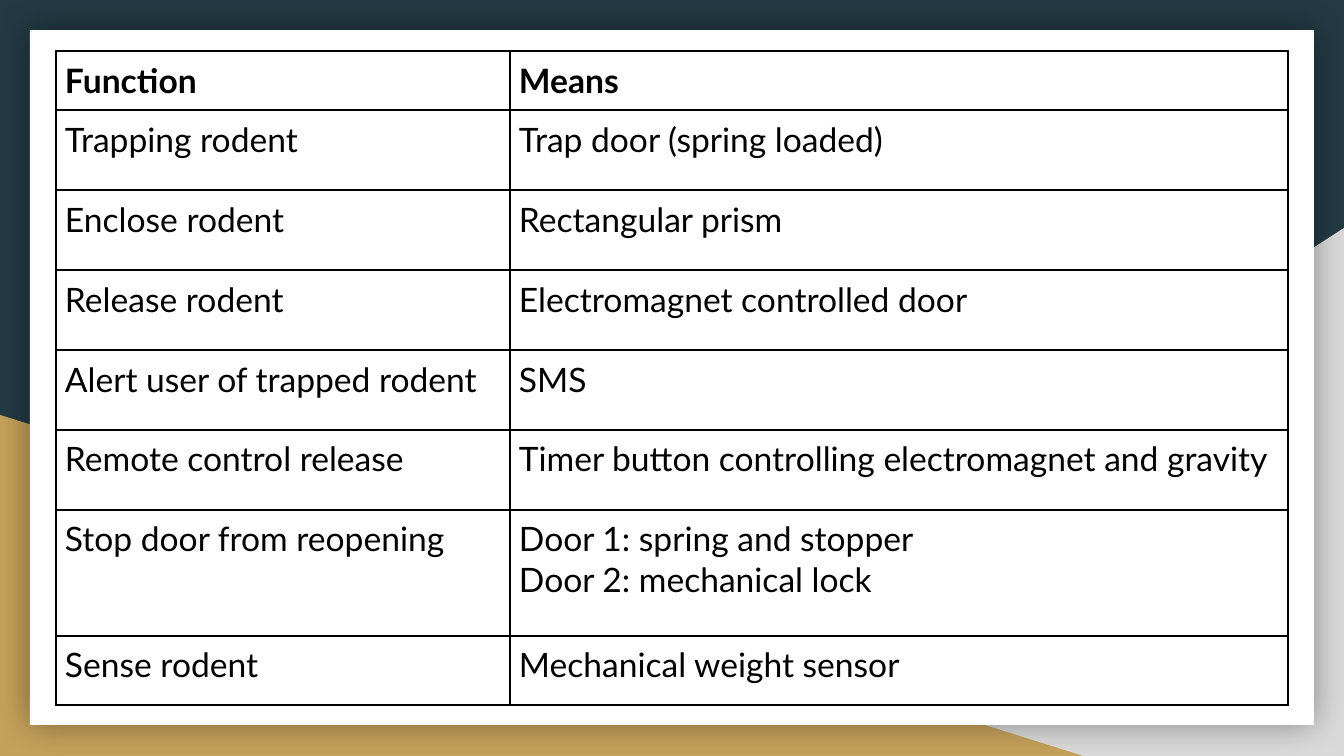
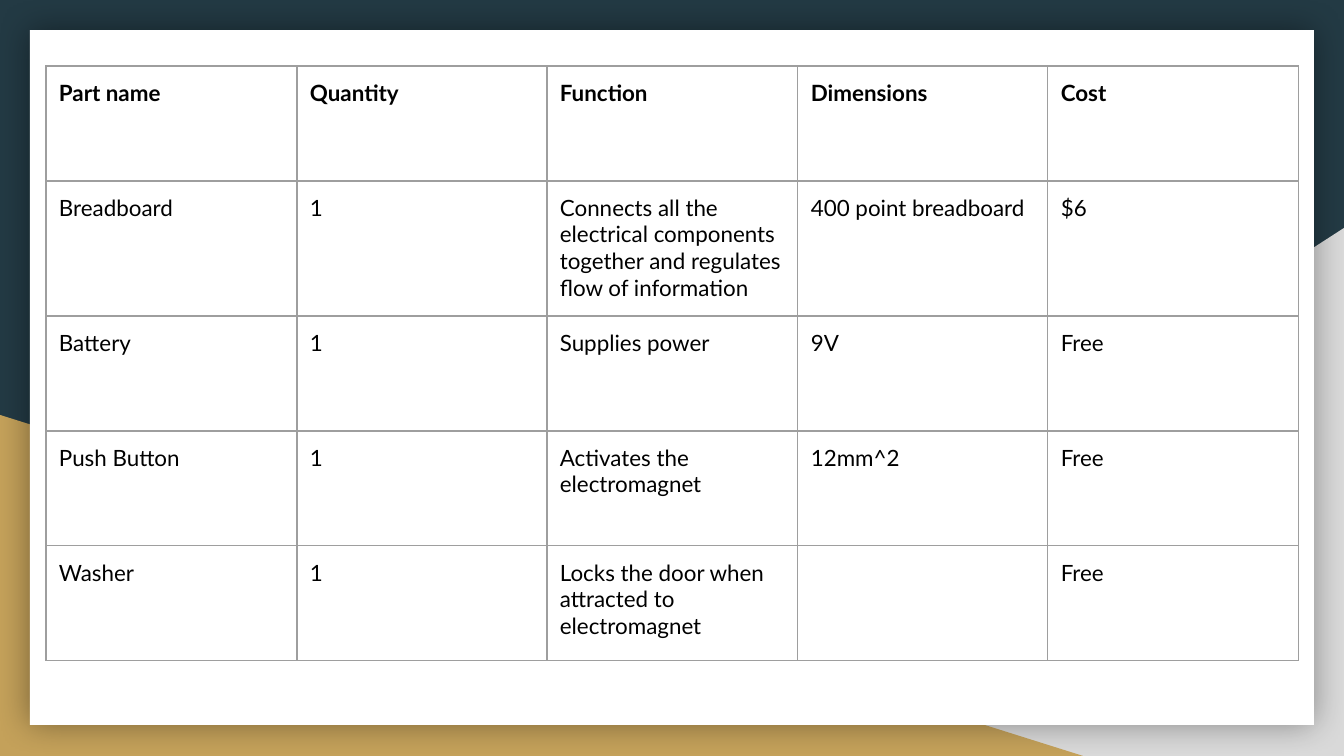
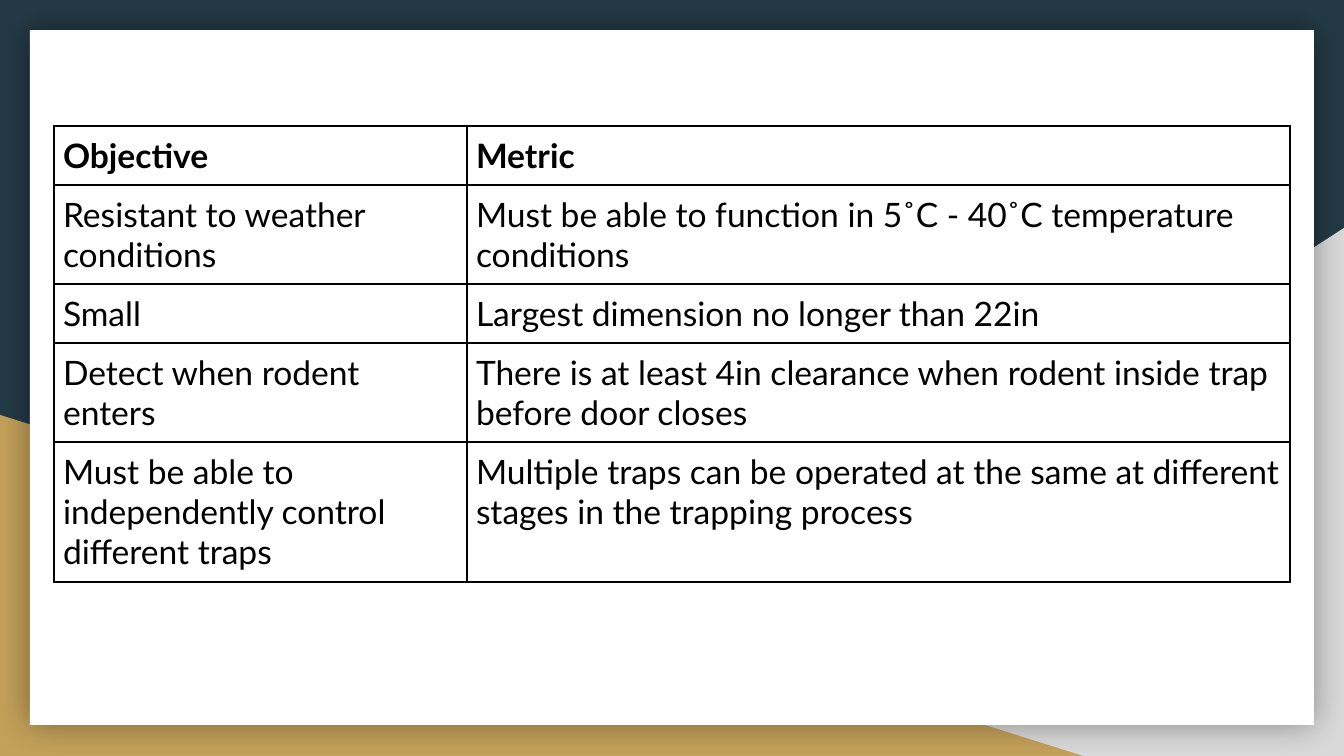
from dataclasses import dataclass

from lxml.etree import SubElement
from pptx import Presentation
from pptx.dml.color import RGBColor
from pptx.enum.shapes import MSO_SHAPE
from pptx.oxml.ns import qn
from pptx.shapes.autoshape import Shape
from pptx.slide import Slide, SlideLayout
from pptx.table import _Cell
from pptx.util import Emu, Pt

SLIDE_WIDTH, SLIDE_HEIGHT = 1344, 756
EMU_PER_PX = 9144000 / SLIDE_WIDTH
BLANK_LAYOUT = 6


@dataclass(frozen=True)
class Theme:
    font: str = "Lato"
    background: str = "233A44"
    gray: str = "D9D9D9"
    gold: str = "C4A15A"
    panel: str = "FFFFFF"
    ink: str = "000000"
    grid: str = "9E9E9E"
    large: int = 18
    small: int = 12
    shadow_blur: int = 18
    shadow_percent: int = 40


THEME = Theme()


@dataclass(frozen=True)
class Backdrop:
    preset: MSO_SHAPE
    left: int
    top: int
    width: int
    height: int
    color: str
    flipped: bool = False
    shadowed: bool = False


@dataclass(frozen=True)
class TableStyle:
    text_size: int
    inset: int
    border_color: str
    border_width: float


@dataclass(frozen=True)
class TableSlide:
    top: int
    column_edges: tuple[int, ...]
    row_heights: tuple[int, ...]
    style: TableStyle
    rows: tuple[tuple[str, ...], ...]


BACKDROPS = (
    Backdrop(MSO_SHAPE.RIGHT_TRIANGLE, 527, 228, 817, 528, THEME.gray, flipped=True),
    Backdrop(MSO_SHAPE.RIGHT_TRIANGLE, 0, 415, 1083, 341, THEME.gold),
    Backdrop(MSO_SHAPE.RECTANGLE, 30, 30, 1284, 695, THEME.panel, shadowed=True),
)

LARGE_TABLE = TableStyle(THEME.large, 9, THEME.ink, 1)
PARTS_TABLE = TableStyle(THEME.small, 13, THEME.grid, 0.75)

FUNCTIONS = TableSlide(
    51, (56, 510, 1288), (59, *[80] * 5, 126, 69), LARGE_TABLE,
    (
        ("Function", "Means"),
        ("Trapping rodent", "Trap door (spring loaded)"),
        ("Enclose rodent", "Rectangular prism"),
        ("Release rodent", "Electromagnet controlled door"),
        ("Alert user of trapped rodent", "SMS"),
        ("Remote control release", "Timer button controlling electromagnet and gravity"),
        ("Stop door from reopening", "Door 1: spring and stopper\nDoor 2: mechanical lock"),
        ("Sense rodent", "Mechanical weight sensor"),
    ),
)

PARTS = TableSlide(
    66, tuple(46 + round(1253 * column / 5) for column in range(6)),
    (115, 135, 115, 115, 115), PARTS_TABLE,
    (
        ("Part name", "Quantity", "Function", "Dimensions", "Cost"),
        ("Breadboard", "1",
         "Connects all the electrical components together and regulates flow of information",
         "400 point breadboard", "$6"),
        ("Battery", "1", "Supplies power", "9V", "Free"),
        ("Push Button", "1", "Activates the electromagnet", "12mm^2", "Free"),
        ("Washer", "1", "Locks the door when attracted to electromagnet", "", "Free"),
    ),
)

OBJECTIVES = TableSlide(
    126, (54, 467, 1290), (59, 99, 59, 99, 140), LARGE_TABLE,
    (
        ("Objective", "Metric"),
        ("Resistant to weather conditions",
         "Must be able to function in 5˚C - 40˚C temperature conditions"),
        ("Small", "Largest dimension no longer than 22in"),
        ("Detect when rodent enters",
         "There is at least 4in clearance when rodent inside trap before door closes"),
        ("Must be able to independently control different traps",
         "Multiple traps can be operated at the same at different stages in the trapping process"),
    ),
)


def px(length: int) -> Emu:
    return Emu(round(length * EMU_PER_PX))


def add_soft_shadow(shape: Shape) -> None:
    effects = shape.element.spPr.find(qn("a:effectLst"))
    shadow = SubElement(effects, qn("a:outerShdw"), blurRad=str(Pt(THEME.shadow_blur)),
                        dist="0", dir="0", algn="ctr", rotWithShape="0")
    color = SubElement(shadow, qn("a:srgbClr"), val=THEME.ink)
    SubElement(color, qn("a:alpha"), val=str(THEME.shadow_percent * 1000))


def add_backdrop(slide: Slide, backdrop: Backdrop) -> Shape:
    shape = slide.shapes.add_shape(backdrop.preset, px(backdrop.left), px(backdrop.top),
                                   px(backdrop.width), px(backdrop.height))
    shape.shadow.inherit = False
    shape.fill.solid()
    shape.fill.fore_color.rgb = RGBColor.from_string(backdrop.color)
    shape.line.fill.background()
    if backdrop.flipped:
        shape.element.spPr.find(qn("a:xfrm")).set("flipH", "1")
    if backdrop.shadowed:
        add_soft_shadow(shape)
    return shape


def dress_layout(layout: SlideLayout, slide: Slide) -> None:
    """Draw the backdrops on a slide, then move them to the layout all slides share."""
    fill = layout.background.fill
    fill.solid()
    fill.fore_color.rgb = RGBColor.from_string(THEME.background)
    for placeholder in list(layout.placeholders):
        layout.shapes.element.remove(placeholder.element)
    for backdrop in BACKDROPS:
        layout.shapes.element.append(add_backdrop(slide, backdrop).element)


def set_borders(cell: _Cell, style: TableStyle) -> None:
    properties = cell._tc.get_or_add_tcPr()
    for side in ("a:lnL", "a:lnR", "a:lnT", "a:lnB"):
        line = SubElement(properties, qn(side), w=str(Pt(style.border_width)))
        fill = SubElement(line, qn("a:solidFill"))
        SubElement(fill, qn("a:srgbClr"), val=style.border_color)


def fill_cell(cell: _Cell, text: str, style: TableStyle, bold: bool) -> None:
    set_borders(cell, style)
    cell.fill.background()
    cell.margin_left = cell.margin_right = px(style.inset)
    cell.margin_top = cell.margin_bottom = px(style.inset)
    for index, words in enumerate(text.splitlines()):
        frame = cell.text_frame
        paragraph = frame.add_paragraph() if index else frame.paragraphs[0]
        run = paragraph.add_run()
        run.text = words
        run.font.name = THEME.font
        run.font.size = Pt(style.text_size)
        run.font.bold = bold
        run.font.color.rgb = RGBColor.from_string(THEME.ink)


def add_table(slide: Slide, content: TableSlide) -> None:
    edges = content.column_edges
    table = slide.shapes.add_table(
        len(content.rows), len(edges) - 1, px(edges[0]), px(content.top),
        px(edges[-1] - edges[0]), px(sum(content.row_heights)),
    ).table
    table.horz_banding = False
    for column, left, right in zip(table.columns, edges, edges[1:]):
        column.width = px(right - left)
    for row_index, texts in enumerate(content.rows):
        table.rows[row_index].height = px(content.row_heights[row_index])
        for column_index, text in enumerate(texts):
            fill_cell(table.cell(row_index, column_index), text, content.style,
                      bold=row_index == 0)


def main() -> None:
    presentation = Presentation()
    presentation.slide_width = px(SLIDE_WIDTH)
    presentation.slide_height = px(SLIDE_HEIGHT)
    layout = presentation.slide_layouts[BLANK_LAYOUT]
    contents = (FUNCTIONS, PARTS, OBJECTIVES)
    slides = [presentation.slides.add_slide(layout) for _ in contents]
    dress_layout(layout, slides[0])
    for slide, content in zip(slides, contents):
        add_table(slide, content)
    presentation.save("out.pptx")


if __name__ == "__main__":
    main()
